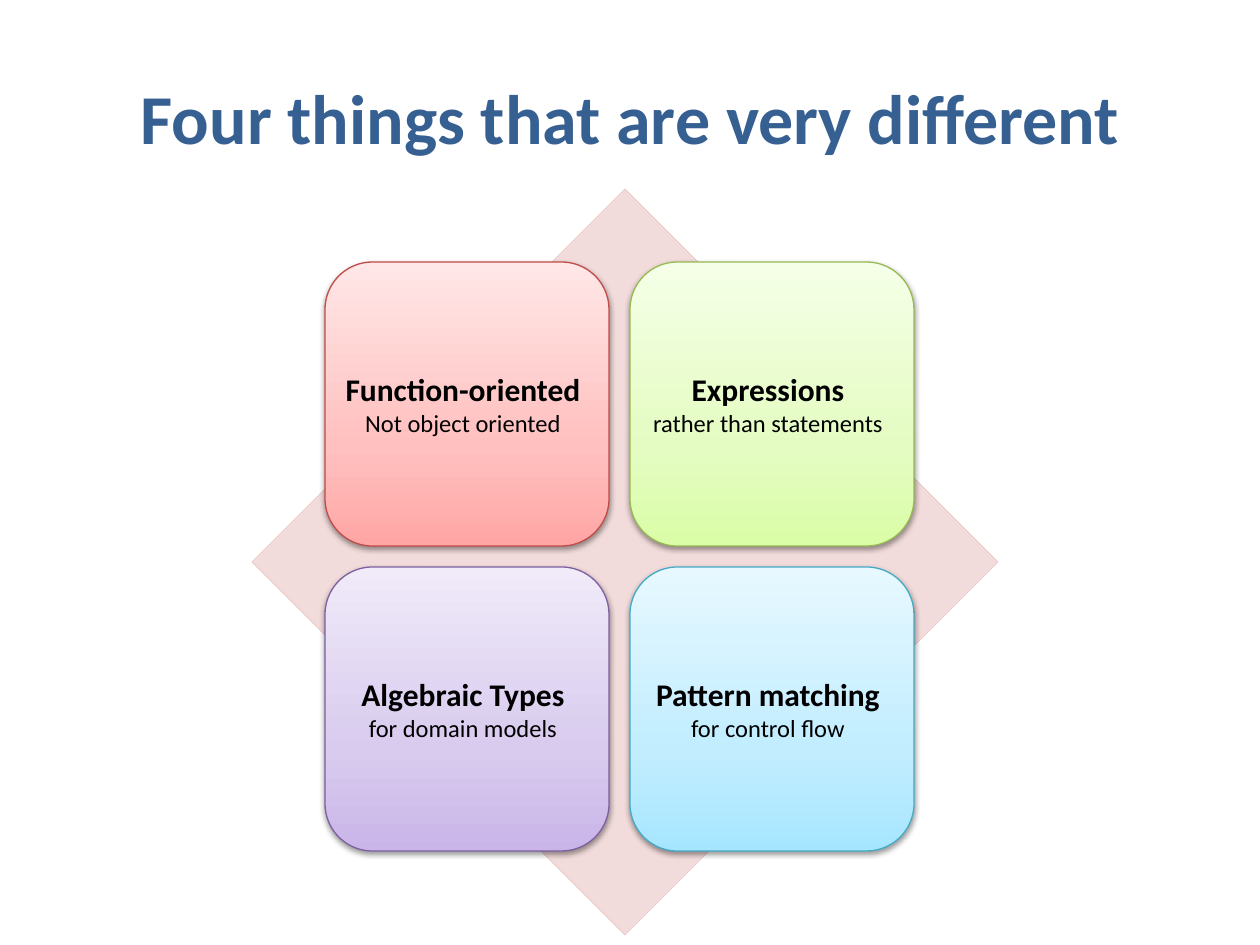
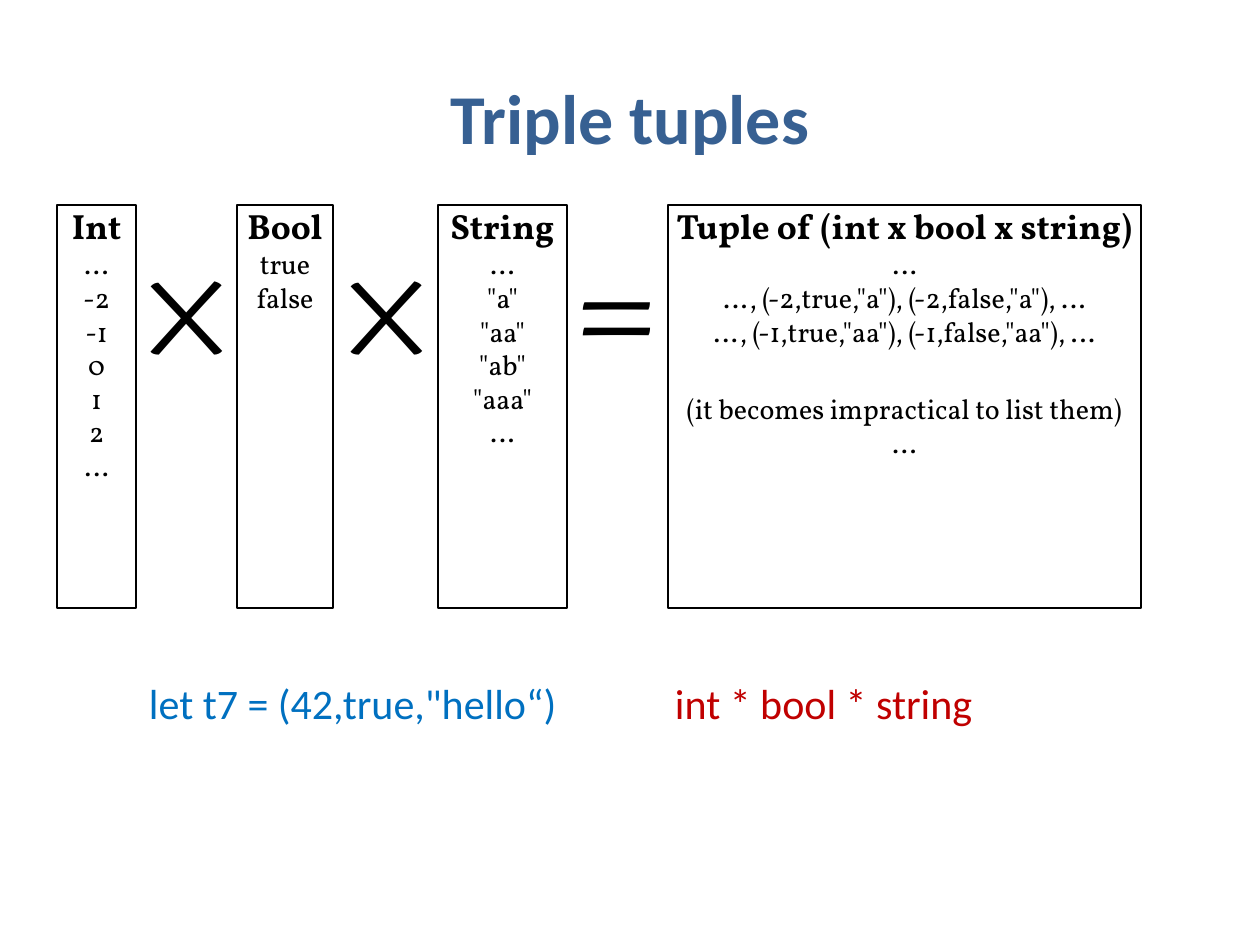
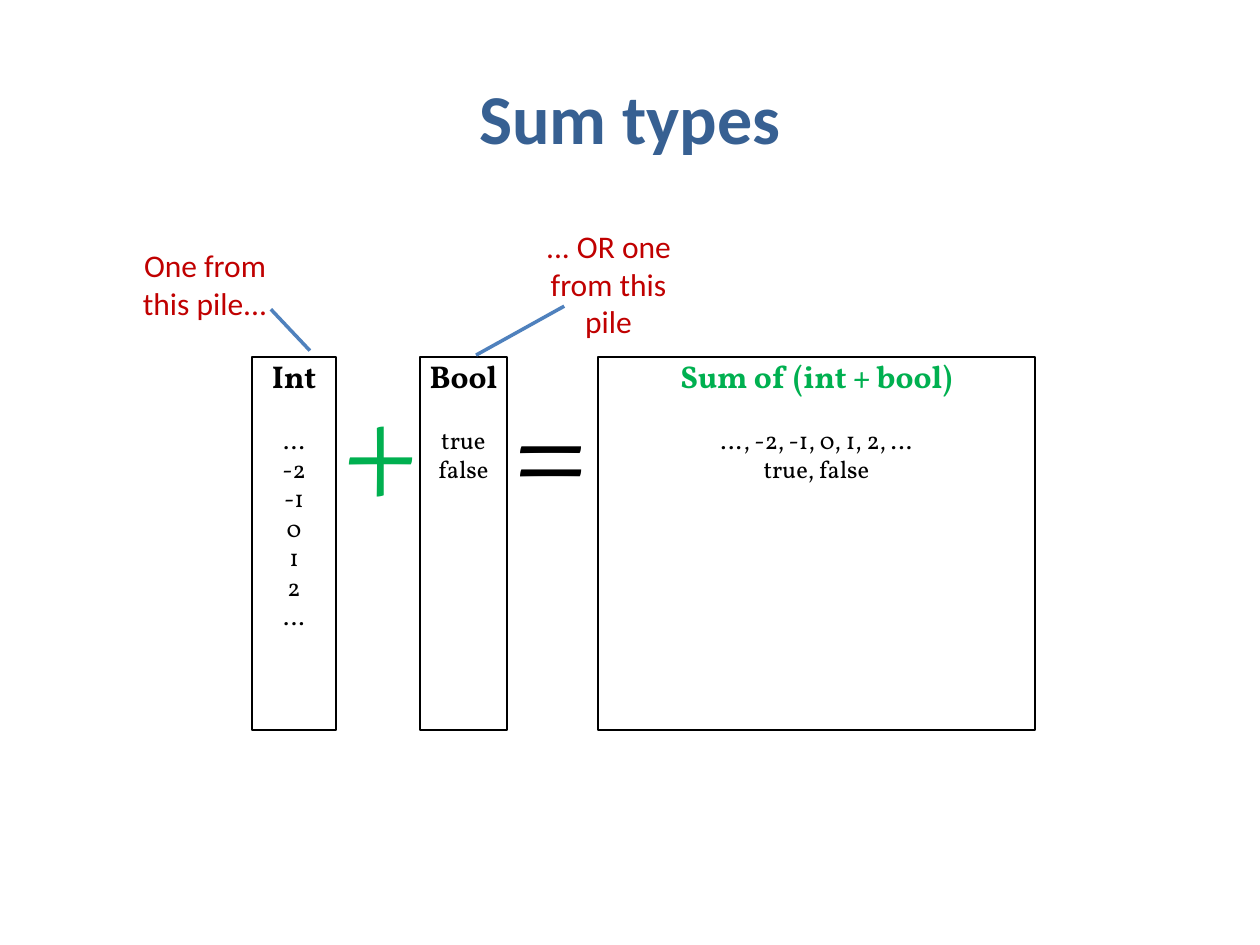
import lxml.etree
import pptx
import pptx.dml.color
import pptx.enum.shapes
import pptx.enum.text
import pptx.oxml.ns
import pptx.util

RGB = pptx.dml.color.RGBColor
SHAPE = pptx.enum.shapes.MSO_SHAPE
ALIGN = pptx.enum.text.PP_ALIGN
ANCHOR = pptx.enum.text.MSO_ANCHOR
qn = pptx.oxml.ns.qn

BLACK = RGB(0x00, 0x00, 0x00)
WHITE = RGB(0xFF, 0xFF, 0xFF)
NAVY = RGB(0x37, 0x60, 0x92)
BLUE = RGB(0x00, 0x70, 0xC0)
STEEL = RGB(0x4F, 0x81, 0xBD)
RED = RGB(0xC0, 0x00, 0x00)
GREEN = RGB(0x00, 0xB0, 0x50)
BLUSH = RGB(0xF2, 0xDC, 0xDB)
ROSE = RGB(0xE6, 0xB9, 0xB8)

# Each tile palette: line, then gradient colours from bottom to top
CORAL = [RGB.from_string(c) for c in ("BF4C48", "FFA6A5", "FFC0BF", "FFE7E7")]
LIME = [RGB.from_string(c) for c in ("98B955", "DAFDA7", "E4FCC2", "F5FFE7")]
VIOLET = [RGB.from_string(c) for c in ("7D60A0", "C9B5E8", "D8CBEE", "F0EAF9")]
AQUA = [RGB.from_string(c) for c in ("46AAC5", "A7E6FF", "C1EDFF", "E7F8FF")]
STOPS = (0, 35, 100)

SANS = "Calibri"
SERIF = "Vollkorn"
DPI = 126


def px(n):
    """Turn picture pixels into EMU."""
    return pptx.util.Emu(round(n * 914400 / DPI))


class Deck:
    """Holds the shared style and the current slide."""

    def __init__(self):
        """Start an empty 10 by 7.5 inch presentation."""
        self.prs = pptx.Presentation()
        self.prs.slide_width, self.prs.slide_height = px(1260), px(945)
        self.slide = None

    def new_slide(self, title):
        """Add a blank slide with its title."""
        self.slide = self.prs.slides.add_slide(self.prs.slide_layouts[6])
        tf = self.textbox(63, 38, 1134, 158)
        tf.vertical_anchor = ANCHOR.MIDDLE
        self.line(tf, title, 40, NAVY, bold=True, align=ALIGN.CENTER)

    def frame(self, s, insets):
        """Prepare a wrapping text frame; insets are left, top, right, bottom."""
        tf = s.text_frame
        tf.word_wrap = True
        (tf.margin_left, tf.margin_top,
         tf.margin_right, tf.margin_bottom) = [px(n) for n in insets]
        return tf

    def textbox(self, x, y, w, h, insets=(13, 6, 13, 6)):
        """Add a text box and return its text frame."""
        s = self.slide.shapes.add_textbox(px(x), px(y), px(w), px(h))
        return self.frame(s, insets)

    def line(self, tf, text, size, color=BLACK, font=SANS, bold=False,
             align=ALIGN.LEFT, before=0):
        """Write one paragraph, filling the empty first one when there is one."""
        p = tf.paragraphs[0]
        if p.runs:
            p = tf.add_paragraph()
        p.alignment = align
        if before:
            p.space_before = pptx.util.Pt(before)
        r = p.add_run()
        r.text = text
        r.font.name, r.font.size = font, pptx.util.Pt(size)
        r.font.bold, r.font.color.rgb = bold, color

    def shape(self, kind, x, y, w, h, fill, line, weight):
        """Add a preset shape with a solid fill and no shadow."""
        s = self.slide.shapes.add_shape(kind, px(x), px(y), px(w), px(h))
        s.shadow.inherit = False
        s.fill.solid()
        s.fill.fore_color.rgb = fill
        s.line.color.rgb = line
        s.line.width = pptx.util.Pt(weight)
        return s

    def tile(self, x, y, size, palette, head, detail):
        """Add a rounded gradient tile with a heading and a detail line."""
        s = self.shape(SHAPE.ROUNDED_RECTANGLE, x, y, size, size,
                       WHITE, palette[0], 0.75)
        self.gradient(s, palette[1:])
        self.drop_shadow(s)
        tf = self.frame(s, (5, 5, 13, 6))
        tf.vertical_anchor = ANCHOR.MIDDLE
        self.line(tf, head, 18, bold=True, align=ALIGN.CENTER)
        self.line(tf, detail, 14, align=ALIGN.CENTER)

    def gradient(self, s, colors):
        """Fill a shape with a three-stop gradient running upwards."""
        s.fill.gradient()
        s.fill.gradient_angle = 90
        stops = s._element.spPr.find(".//" + qn("a:gsLst"))
        for gs in list(stops):
            stops.remove(gs)
        for pos, color in zip(STOPS, colors):
            gs = lxml.etree.SubElement(stops, qn("a:gs"), pos=str(pos * 1000))
            lxml.etree.SubElement(gs, qn("a:srgbClr"), val=str(color))

    def drop_shadow(self, s):
        """Give a shape a soft shadow straight below."""
        effects = s._element.spPr.find(qn("a:effectLst"))
        shadow = lxml.etree.SubElement(
            effects, qn("a:outerShdw"), blurRad=str(pptx.util.Pt(3.1)),
            dist=str(pptx.util.Pt(1.6)), dir="5400000", rotWithShape="0")
        color = lxml.etree.SubElement(shadow, qn("a:srgbClr"), val=str(BLACK))
        lxml.etree.SubElement(color, qn("a:alpha"), val="38000")

    def pile(self, x, y, w, h, head, items, size, color=BLACK, gaps=None):
        """Add a box of values; gaps maps an item's index to space before it."""
        s = self.shape(SHAPE.RECTANGLE, x, y, w, h, WHITE, BLACK, 0.75)
        tf = self.frame(s, (2, 0, 2, 0))
        tf.vertical_anchor = ANCHOR.TOP
        self.line(tf, head, size + 4, color, SERIF, True, ALIGN.CENTER)
        for i, item in enumerate(items):
            self.line(tf, item, size, font=SERIF, align=ALIGN.CENTER,
                      before=(gaps or {}).get(i, 0))

    def operator(self, x, y, w, h, sign, size, color=BLACK):
        """Add a large sign between two piles."""
        tf = self.textbox(x, y, w, h, (0, 0, 0, 0))
        self.line(tf, sign, size, color, SERIF)

    def callout(self, x, y, w, h, text, adjust):
        """Add a borderless callout with a pointer line."""
        s = self.shape(SHAPE.LINE_CALLOUT_1_NO_BORDER, x, y, w, h,
                       WHITE, STEEL, 2)
        for i, value in enumerate(adjust):
            s.adjustments[i] = value
        tf = self.frame(s, (13, 6, 13, 6))
        tf.vertical_anchor = ANCHOR.MIDDLE
        self.line(tf, text, 18, RED, align=ALIGN.CENTER)


def differences(deck):
    """Four tiles on a diamond."""
    deck.new_slide("Four things that are very different")
    deck.shape(SHAPE.DIAMOND, 252, 189, 746, 746, BLUSH, ROSE, 0.25)
    tiles = [
        (CORAL, "Function-oriented", "Not object oriented"),
        (LIME, "Expressions", "rather than statements"),
        (VIOLET, "Algebraic Types", "for domain models"),
        (AQUA, "Pattern matching", "for control flow"),
    ]
    size, pitch = 284, 305
    for i, (palette, head, detail) in enumerate(tiles):
        row, col = divmod(i, 2)
        deck.tile(325 + col * pitch, 262 + row * pitch, size,
                  palette, head, detail)


def triple_tuples(deck):
    """Product of three types."""
    deck.new_slide("Triple tuples")
    top, height = 205, 403
    piles = [
        (57, 79, "Int", ["...", "-2", "-1", "0", "1", "2", "…"], None),
        (237, 96, "Bool", ["true", "false"], None),
        (438, 129, "String",
         ["...", '"a"', '"aa"', '"ab"', '"aaa"', "…"], None),
        (668, 473, "Tuple of (int x bool x string)",
         ["…", '…, (-2,true,"a"), (-2,false,"a"), …',
          '…, (-1,true,"aa"), (-1,false,"aa"), …',
          "(it becomes impractical to list them)", "..."], {3: 25}),
    ]
    for x, w, head, items, gaps in piles:
        deck.pile(x, top, w, height, head, items, 16, gaps=gaps)
    for x, sign in ((144, "×"), (344, "×"), (575, "=")):
        deck.operator(x, top, 79, height, sign, 88)
    for x, w, code, color in ((136, 504, 'let t7 = (42,true,"hello“)', BLUE),
                              (662, 483, "int * bool * string", RED)):
        deck.line(deck.textbox(x, 672, w, 63), code, 24, color)


def sum_types(deck):
    """Sum of two types."""
    deck.new_slide("Sum types")
    top, height = 357, 373
    piles = [
        (252, 84, "Int", ["...", "-2", "-1", "0", "1", "2", "…"], BLACK),
        (420, 87, "Bool", ["true", "false"], BLACK),
        (598, 437, "Sum of (int + bool)",
         ["…, -2, -1, 0, 1, 2, …", "true, false"], GREEN),
    ]
    for x, w, head, items, color in piles:
        deck.pile(x, top, w, height, head, items, 14, color, {0: 17})
    for x, sign, color in ((343, "+", GREEN), (513, "=", BLACK)):
        deck.operator(x, top, 74, height, sign, 80, color)
    deck.callout(126, 231, 158, 105, "One from this pile...",
                 (0.745, 0.917, 1.139, 1.164))
    deck.callout(514, 231, 189, 105, "... OR one from this pile",
                 (0.716, 0.266, 1.182, -0.201))


def main():
    """Build and save the slides."""
    deck = Deck()
    differences(deck)
    triple_tuples(deck)
    sum_types(deck)
    deck.prs.save("out.pptx")


main()
